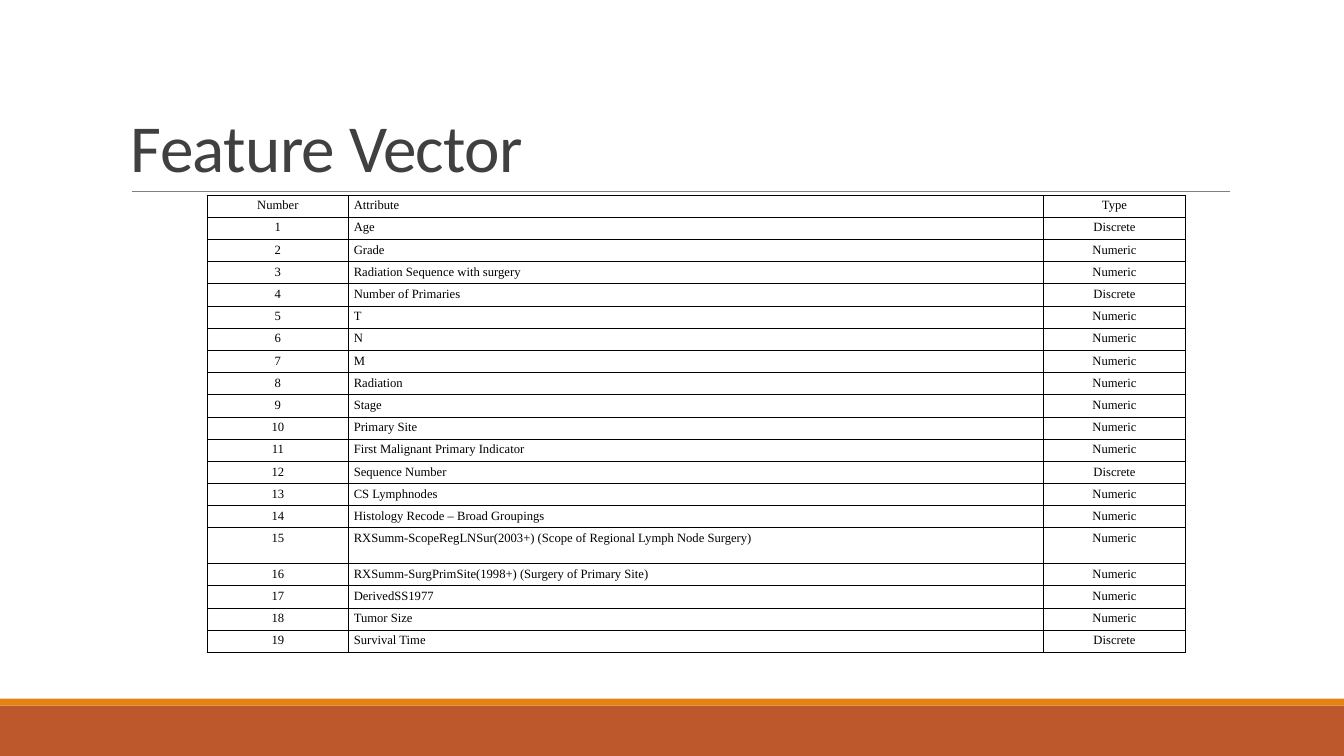
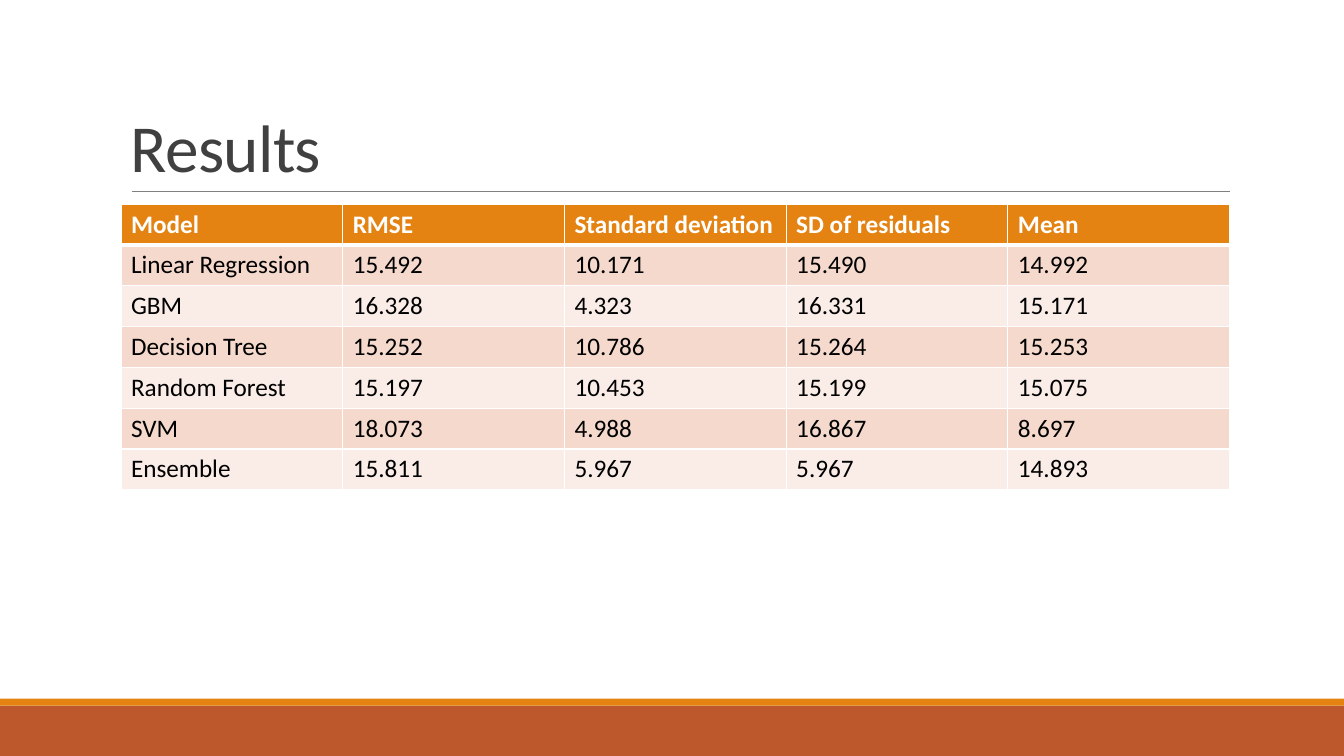
from lxml.etree import SubElement
from pptx import Presentation
from pptx.dml.color import RGBColor
from pptx.enum.shapes import MSO_CONNECTOR, MSO_SHAPE
from pptx.enum.text import MSO_ANCHOR, PP_ALIGN
from pptx.oxml.ns import qn
from pptx.util import Inches, Pt

COLORS = {
    "paper": "FFFFFF", "ink": "000000", "title": "404040", "rule": "808080",
    "orange": "E48312", "rust": "BD582C", "band_dark": "F5D9CC", "band_light": "FAEDE7",
}

deck = Presentation()
deck.slide_width, deck.slide_height = Inches(13.33), Inches(7.5)
# Grid of 100 columns by 100 rows
COL, ROW = deck.slide_width / 100, deck.slide_height / 100
TITLE_LEFT, TITLE_TOP, CONTENT_WIDTH, RULE_ROW = 9, 4.1, 82.5, 25.3


def color(name):
    return RGBColor.from_string(COLORS[name])


def set_border(cell, side, name, points):
    edge = SubElement(cell._tc.get_or_add_tcPr(), qn(f"a:ln{side}"), w=str(Pt(points)))
    SubElement(SubElement(edge, qn("a:solidFill")), qn("a:srgbClr"), val=COLORS[name])


# Table contents
attributes = [
    "Age", "Grade", "Radiation Sequence with surgery", "Number of Primaries", "T", "N", "M",
    "Radiation", "Stage", "Primary Site", "First Malignant Primary Indicator",
    "Sequence Number", "CS Lymphnodes", "Histology Recode – Broad Groupings",
    "RXSumm-ScopeRegLNSur(2003+) (Scope of Regional Lymph Node Surgery)",
    "RXSumm-SurgPrimSite(1998+) (Surgery of Primary Site)",
    "DerivedSS1977", "Tumor Size", "Survival Time",
]
discrete = {"Age", "Number of Primaries", "Sequence Number", "Survival Time"}
features = [("Number", "Attribute", "Type")] + [
    (str(number), name, "Discrete" if name in discrete else "Numeric")
    for number, name in enumerate(attributes, 1)
]
results = [
    ("Model", "RMSE", "Standard deviation", "SD of residuals", "Mean"),
    ("Linear Regression", "15.492", "10.171", "15.490", "14.992"),
    ("GBM", "16.328", "4.323", "16.331", "15.171"),
    ("Decision Tree", "15.252", "10.786", "15.264", "15.253"),
    ("Random Forest", "15.197", "10.453", "15.199", "15.075"),
    ("SVM", "18.073", "4.988", "16.867", "8.697"),
    ("Ensemble", "15.811", "5.967", "5.967", "14.893"),
]

# Table layouts, in grid columns and rows
feature_page = {
    "title": "Feature Vector", "rows": features, "left": 15.4, "top": 25.8,
    "widths": [10.55, 51.7, 10.55], "height": 2.84, "tall": {15: 4.73},
    "font": "Times New Roman", "size": 9, "margins": (Inches(0.05), Pt(2.5)),
    "centered": {0, 2}, "border": ("ink", 0.5), "banded": False,
}
result_page = {
    "title": "Results", "rows": results, "left": TITLE_LEFT, "top": 27,
    "widths": [CONTENT_WIDTH / 5] * 5, "height": 5.4, "tall": {},
    "font": "Calibri", "size": 18, "margins": (Inches(0.1), Inches(0.05)),
    "centered": set(), "border": ("paper", 1), "banded": True,
}

for page in (feature_page, result_page):
    slide = deck.slides.add_slide(deck.slide_layouts[6])
    slide.background.fill.solid()
    slide.background.fill.fore_color.rgb = color("paper")

    # Footer bands
    for top, height, name in ((93.33, 6.67, "rust"), (92.4, 0.93, "orange")):
        band = slide.shapes.add_shape(
            MSO_SHAPE.RECTANGLE, 0, int(top * ROW), deck.slide_width, int(height * ROW))
        band.shadow.inherit = False
        band.fill.solid()
        band.fill.fore_color.rgb = color(name)
        band.line.fill.background()

    # Rule under the title
    rule_y = int(RULE_ROW * ROW)
    rule = slide.shapes.add_connector(
        MSO_CONNECTOR.STRAIGHT, int((TITLE_LEFT + 0.8) * COL), rule_y,
        int((TITLE_LEFT + CONTENT_WIDTH) * COL), rule_y)
    rule.line.color.rgb = color("rule")
    rule.line.width = Pt(0.5)
    SubElement(rule._element.spPr, qn("a:effectLst"))

    # Title
    title = slide.shapes.add_textbox(
        int(TITLE_LEFT * COL), int(TITLE_TOP * ROW),
        int(CONTENT_WIDTH * COL), int((RULE_ROW - TITLE_TOP) * ROW)).text_frame
    title.word_wrap = True
    title.vertical_anchor = MSO_ANCHOR.BOTTOM
    title.text = page["title"]
    title.paragraphs[0].line_spacing = 0.85
    title_run = title.paragraphs[0].runs[0]
    title_run.font.name = "Calibri"
    title_run.font.size = Pt(48)
    title_run.font.color.rgb = color("title")
    title_run.font._element.set("spc", "-50")

    # Table grid
    rows, widths = page["rows"], page["widths"]
    heights = [page["tall"].get(r, page["height"]) for r in range(len(rows))]
    table = slide.shapes.add_table(
        len(rows), len(widths), int(page["left"] * COL), int(page["top"] * ROW),
        int(sum(widths) * COL), int(sum(heights) * ROW)).table
    table.first_row = table.horz_banding = page["banded"]
    for column, width in zip(table.columns, widths):
        column.width = int(width * COL)
    for row, height in zip(table.rows, heights):
        row.height = int(height * ROW)

    # Table cells
    border_color, border_width = page["border"]
    for r, values in enumerate(rows):
        banded_header = page["banded"] and r == 0
        for c, value in enumerate(values):
            cell = table.cell(r, c)
            cell.margin_left = cell.margin_right = page["margins"][0]
            cell.margin_top = cell.margin_bottom = page["margins"][1]
            for side in "LRTB":
                under_header = page["banded"] and (r, side) in {(0, "B"), (1, "T")}
                set_border(cell, side, border_color, 3 if under_header else border_width)
            if page["banded"]:
                cell.fill.solid()
                cell.fill.fore_color.rgb = color(
                    "orange" if r == 0 else "band_dark" if r % 2 else "band_light")
            else:
                cell.fill.background()
            cell.text_frame.text = value
            paragraph = cell.text_frame.paragraphs[0]
            paragraph.alignment = PP_ALIGN.CENTER if c in page["centered"] else PP_ALIGN.LEFT
            font = paragraph.runs[0].font
            font.name = page["font"]
            font.size = Pt(page["size"])
            font.bold = banded_header
            font.color.rgb = color("paper" if banded_header else "ink")

deck.save("out.pptx")
